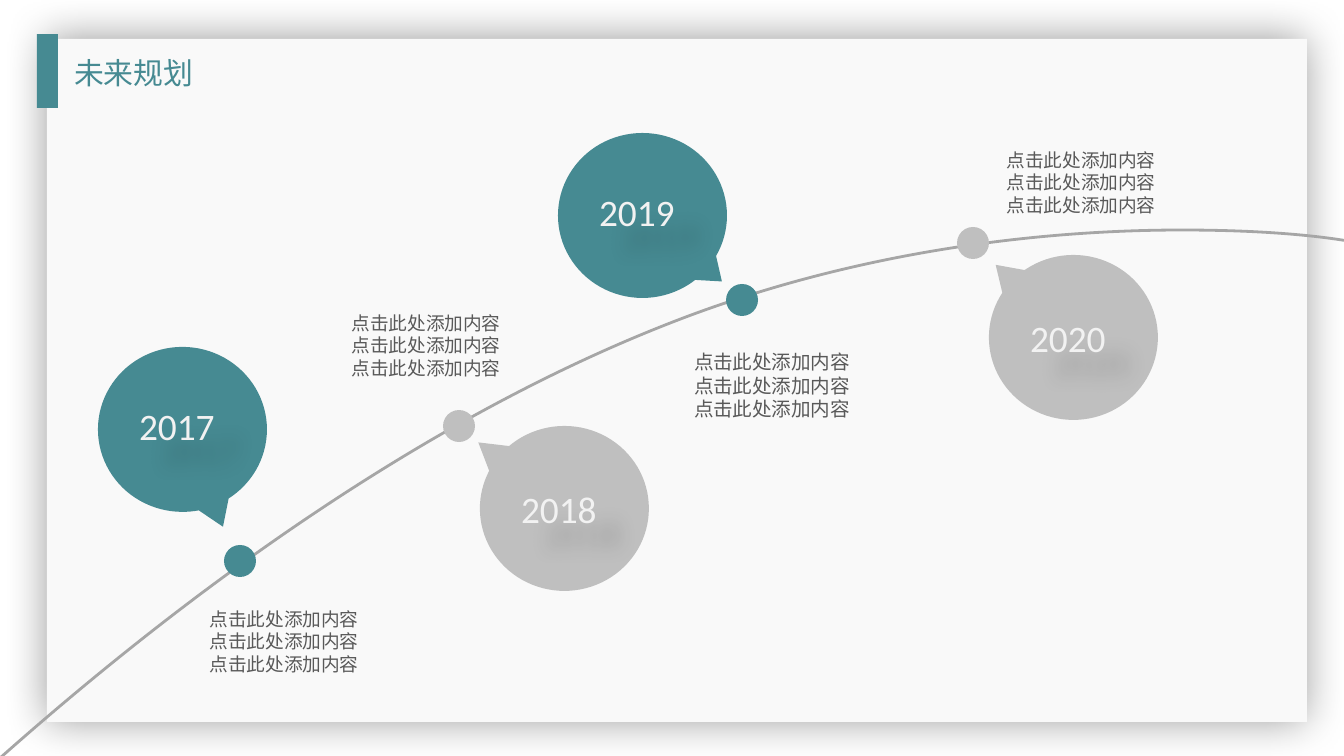
from lxml.etree import SubElement
from pptx import Presentation
from pptx.dml.color import RGBColor as Rgb
from pptx.enum.shapes import MSO_SHAPE as Kind
from pptx.enum.text import MSO_AUTO_SIZE as Fit, PP_ALIGN as Align
from pptx.oxml.ns import qn
from pptx.util import Pt

PX = 914400 / 134.4
INK = {"panel": "F9F9F9", "teal": "468A92", "gray": "BFBFBF", "line": "A6A6A6",
       "year": "F2F2F2", "body": "595959", "shade": "000000"}
HAN = "Noto Sans CJK SC"
BODY = "点击此处添加内容"


def emu(*nums):
    return [round(n * PX) for n in nums]


def shape(host, kind, box, ink):
    item = host.shapes.add_shape(kind, *emu(*box))
    item.shadow.inherit = False
    item.fill.solid()
    item.fill.fore_color.rgb = Rgb.from_string(INK[ink])
    item.line.fill.background()
    return item


def shade(item, blur, alpha, dist=0, turn=0):
    """Cast a black shadow: blur and dist in points, alpha in percent, turn in degrees."""
    item.shadow.inherit = False
    fx = item._element.spPr.find(qn("a:effectLst"))
    cast = SubElement(fx, qn("a:outerShdw"), blurRad=str(Pt(blur)), dist=str(Pt(dist)),
                      dir=str(turn * 60000), algn="ctr", rotWithShape="0")
    tone = SubElement(cast, qn("a:srgbClr"), val=INK["shade"])
    SubElement(tone, qn("a:alpha"), val=str(alpha * 1000))


def write(host, box, lines, size, ink, font=HAN, align=None, wrap=True, pad=(13, 7), lead=None):
    item = host.shapes.add_textbox(*emu(*box))
    frame = item.text_frame
    frame.word_wrap = wrap
    frame.auto_size = Fit.SHAPE_TO_FIT_TEXT
    frame.margin_left = frame.margin_right = emu(pad[0])[0]
    frame.margin_top = frame.margin_bottom = emu(pad[1])[0]
    for i, line in enumerate(lines):
        para = frame.add_paragraph() if i else frame.paragraphs[0]
        para.alignment = align
        if lead:
            para.line_spacing = Pt(size * lead)
        run = para.add_run()
        run.text = line
        run.font.size = Pt(size)
        run.font.name = font
        run.font.color.rgb = Rgb.from_string(INK[ink])
        SubElement(run.font._element, qn("a:ea"), typeface=font)
    return item


def frame(slide, x, y, w, h):
    """Draw the raised panel with its corner tab and title."""
    shade(shape(slide, Kind.RECTANGLE, (x, y, w, h), "panel"), 23, 40)
    shape(slide, Kind.RECTANGLE, (x - 10, y - 5, 21, 74), "teal")


def title(slide, x, y, w, h):
    write(slide, (x, y, w, h), ["未来规划"], 16, "teal", align=Align.JUSTIFY,
          pad=(11, 5), lead=1.2)


def curve(slide, start, *arcs):
    """Draw a chain of cubic arcs, each given as two handles and an end."""
    pen = slide.shapes.build_freeform(*emu(*start), scale=1.0)
    pen.add_line_segments([emu(*p) for arc in arcs for p in arc], close=False)
    item = pen.convert_to_shape()
    item.shadow.inherit = False
    item.fill.background()
    item.line.color.rgb = Rgb.from_string(INK["line"])
    item.line.width = Pt(1.5)
    road = next(item._element.iter(qn("a:path")))
    steps = road.findall(qn("a:lnTo"))
    for i in range(0, len(steps), 3):
        bend = SubElement(road, qn("a:cubicBezTo"))
        for step in steps[i:i + 3]:
            bend.append(step[0])
            road.remove(step)


def dot(slide, x, y, ink):
    shape(slide, Kind.OVAL, (x - 16, y - 16, 32, 32), ink)


def bubble(slide, x, y, year, ink, tip, drop):
    """Draw a year callout; tip is the pointer from the centre, drop the text offset."""
    group = slide.shapes.add_group_shape()
    ball = shape(group, Kind.OVAL_CALLOUT, (x, y, 169, 165), ink)
    ball.adjustments[0], ball.adjustments[1] = tip
    text = write(group, (x + 28, y + drop, 103, 59), [year], 20, "year",
                 font="Calibri", wrap=False)
    shade(text, 10, 20, dist=18, turn=45)


def label(slide, x, y, size):
    write(slide, (x, y, 206, 82), [BODY] * 3, size, "body", align=Align.CENTER, lead=1.2)


def main():
    deck = Presentation()
    deck.slide_width, deck.slide_height = emu(1344, 756)
    slide = deck.slides.add_slide(deck.slide_layouts[6])
    frame(slide, 47, 39, 1260, 683)
    curve(slide, (-1, 759),
          ((177, 601), (426, 413), (694, 314)),
          ((871, 249), (1047, 230), (1182, 230)),
          ((1249, 230), (1306, 234), (1348, 241)))
    # year, colour, dot centre, bubble corner, pointer, text drop, label corner, label size
    stops = [
        ("2017", "teal", (240, 561), (98, 347), (0.24, 0.59), 49, (181, 601), 10),
        ("2018", "gray", (459, 426), (480, 426), (-0.51, -0.4), 53, (323, 305), 10),
        ("2019", "teal", (742, 300), (558, 133), (0.47, 0.4), 49, (669, 343), 10.5),
        ("2020", "gray", (973, 243), (989, 255), (-0.46, -0.44), 53, (978, 142), 10),
    ]
    for year, ink, spot, ball, tip, drop, note, size in stops:
        dot(slide, *spot, ink)
        bubble(slide, *ball, year, ink, tip, drop)
        label(slide, *note, size)
    title(slide, 63, 50, 270, 47)
    deck.save("out.pptx")


if __name__ == "__main__":
    main()
